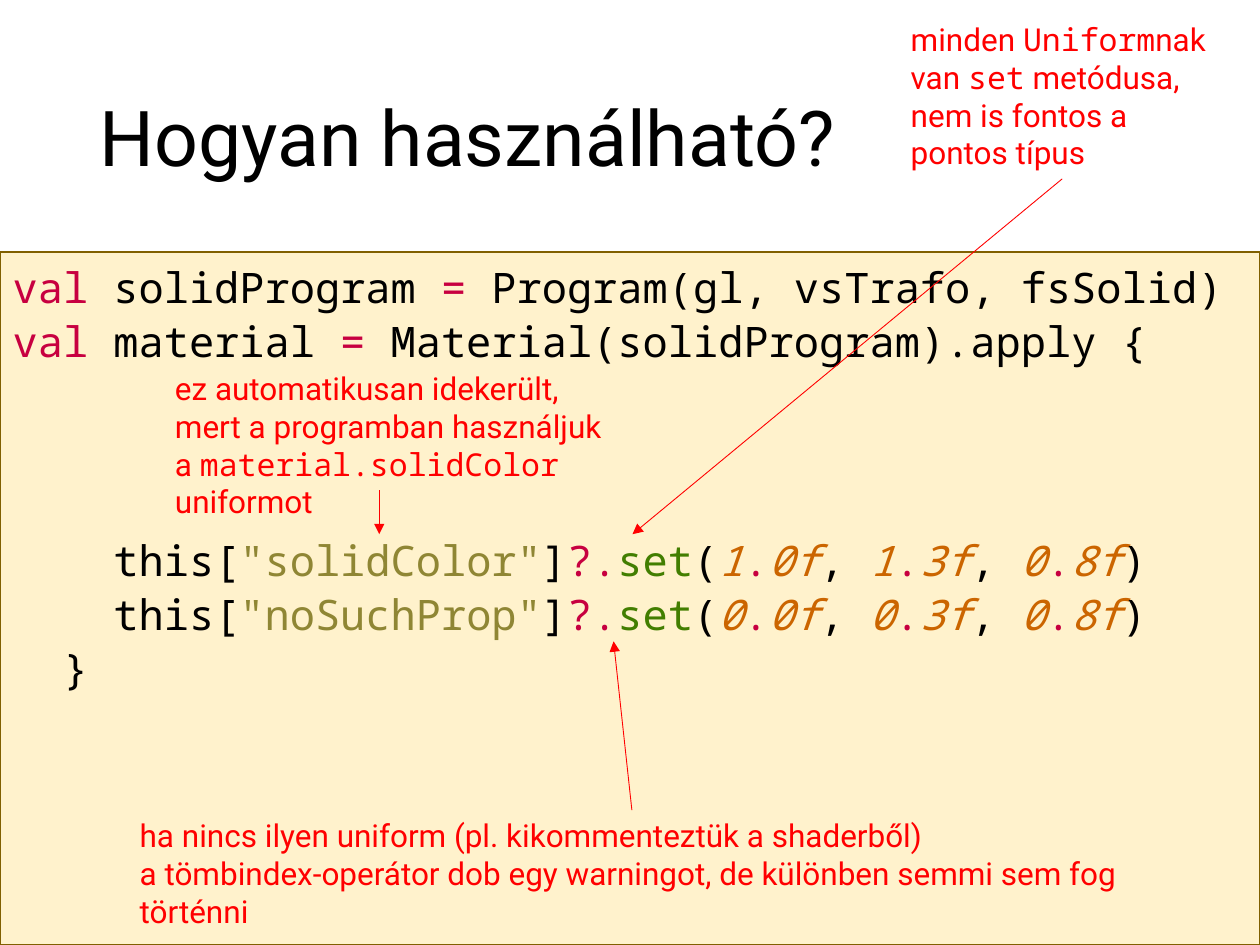
"""Build a slide that explains how uniforms are set on a material."""
from lxml import etree
from pptx import Presentation
from pptx import util as u
from pptx.dml.color import RGBColor
from pptx.enum import shapes, text
from pptx.oxml.ns import qn

SANS, MONO = "Roboto", "Noto Sans Mono"
BLACK, RED, KEYWORD = "000000", "FF0000", "C70040"
STRING, METHOD, NUMBER = "8F8634", "427E00", "CB6500"

TITLE = "Hogyan használható?"
DECLARATIONS = [
    ("solidProgram", "Program(gl, vsTrafo, fsSolid)"),
    ("material", "Material(solidProgram).apply {"),
]
SETTERS = [
    ("solidColor", ["1.0f", "1.3f", "0.8f"]),
    ("noSuchProp", ["0.0f", "0.3f", "0.8f"]),
]
NOTES = [
    {"box": (1.01, 6.43, 8.01, 0.71), "start": (5.02, 6.43), "end": (4.87, 5.09), "side": 0,
     "lines": [[("ha nincs ilyen uniform (pl. kikommenteztük a shaderből)", SANS)],
               [("a tömbindex-operátor dob egy warningot, de különben semmi sem fog történni", SANS)]]},
    {"box": (7.13, 0.11, 2.6, 1.31), "start": (8.43, 1.42), "end": (5.02, 4.24), "side": 2,
     "lines": [[("minden ", SANS), ("Uniform", MONO), ("nak van ", SANS), ("set", MONO),
                (" metódusa, nem is fontos a pontos típus", SANS)]]},
    {"box": (1.29, 2.88, 4.04, 1.01), "start": (3.01, 3.89), "end": (3.01, 4.24), "side": None,
     "lines": [[("ez automatikusan idekerült,", SANS)],
               [("mert a programban használjuk", SANS)],
               [("a ", SANS), ("material.solidColor", MONO), (" uniformot", SANS)]]},
]


def color(value):
    return RGBColor.from_string(value)


def inches(values):
    return [u.Inches(value) for value in values]


def place(shape, box):
    shape.left, shape.top, shape.width, shape.height = inches(box)


def write(paragraph, content, font=SANS, size=18, fill=RED, italic=False):
    run = paragraph.add_run()
    run.text = content
    run.font.name, run.font.size, run.font.italic = font, u.Pt(size), italic
    run.font.color.rgb = color(fill)


def paragraphs(frame, count):
    return [frame.paragraphs[0]] + [frame.add_paragraph() for _ in range(count - 1)]


def declaration_tokens(name, value):
    return [("val ", KEYWORD), (name + " ", BLACK), ("= ", KEYWORD), (value, BLACK)]


def setter_tokens(name, numbers):
    tokens = [("    this[", BLACK), (f'"{name}"', STRING), ("]", BLACK),
              ("?.", KEYWORD), ("set", METHOD)]
    for index, number in enumerate(numbers):
        whole, fraction = number.split(".")
        tokens += [(", " if index else "(", BLACK), (whole, NUMBER),
                   (".", KEYWORD), (fraction, NUMBER)]
    return tokens + [(")", BLACK)]


def add_title(slide):
    title = slide.shapes.title
    place(title, (0.69, 0.4, 8.62, 1.45))
    title.text_frame.vertical_anchor = text.MSO_ANCHOR.MIDDLE
    paragraph = title.text_frame.paragraphs[0]
    paragraph.alignment = text.PP_ALIGN.LEFT
    paragraph.line_spacing = 0.9
    write(paragraph, TITLE, size=44, fill=BLACK)


def add_code(slide):
    body = slide.placeholders[1]
    place(body, (0, 2, 10, 5.5))
    body.fill.solid()
    body.fill.fore_color.rgb = color("FFF2CC")
    body.line.color.rgb = color("806000")
    body.line.width = u.Pt(0.75)
    frame = body.text_frame
    frame.auto_size = text.MSO_AUTO_SIZE.NONE
    frame.vertical_anchor = text.MSO_ANCHOR.TOP
    rows = [declaration_tokens(*row) for row in DECLARATIONS]
    rows += [setter_tokens(*row) for row in SETTERS] + [[("  }", BLACK)]]
    for index, (paragraph, tokens) in enumerate(zip(paragraphs(frame, len(rows)), rows)):
        properties = paragraph._p.get_or_add_pPr()
        properties.set("marL", "0")
        properties.set("indent", "0")
        etree.SubElement(properties, qn("a:buNone"))
        paragraph.line_spacing = 1.07
        paragraph.space_before = u.Pt(94 if index == len(DECLARATIONS) else 0)
        for content, fill in tokens:
            write(paragraph, content, font=MONO, size=24, fill=fill, italic=fill == NUMBER)


def add_note(slide, note):
    box = slide.shapes.add_textbox(*inches(note["box"]))
    box.text_frame.word_wrap = True
    for paragraph, runs in zip(paragraphs(box.text_frame, len(note["lines"])), note["lines"]):
        for content, font in runs:
            write(paragraph, content, font=font)
    arrow = slide.shapes.add_connector(
        shapes.MSO_CONNECTOR.STRAIGHT, *inches(note["start"] + note["end"]))
    if note["side"] is not None:
        arrow.begin_connect(box, note["side"])
    arrow.line.color.rgb = color(RED)
    arrow.line.width = u.Pt(0.5)
    etree.SubElement(arrow.line._get_or_add_ln(), qn("a:tailEnd"), type="triangle")
    etree.SubElement(arrow._element.spPr, qn("a:effectLst"))


def main():
    presentation = Presentation()
    presentation.slide_width, presentation.slide_height = inches((10, 7.5))
    slide = presentation.slides.add_slide(presentation.slide_layouts[1])
    add_title(slide)
    add_code(slide)
    for note in NOTES:
        add_note(slide, note)
    presentation.save("out.pptx")


if __name__ == "__main__":
    main()
